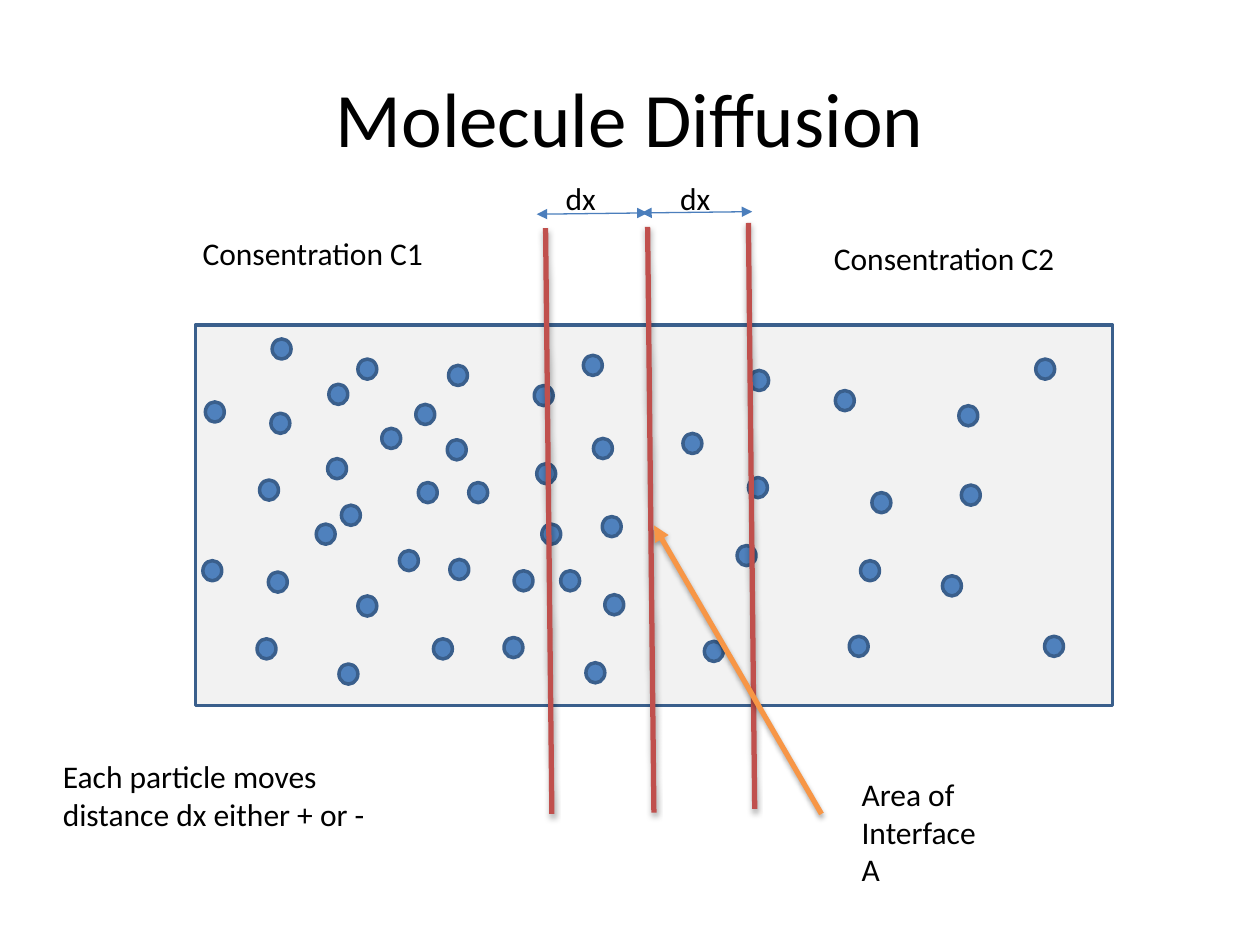
"""Build the Molecule Diffusion slide on a grid of 100 columns by 75 rows."""
from lxml.etree import SubElement
from pptx import Presentation
from pptx.dml.color import RGBColor
from pptx.enum.shapes import MSO_CONNECTOR as Connector, MSO_SHAPE as Shape
from pptx.enum.text import MSO_ANCHOR as Anchor, PP_ALIGN as Align
from pptx.oxml.ns import qn
from pptx.util import Inches, Pt

color = RGBColor.from_string
presentation = Presentation()
presentation.slide_width, presentation.slide_height = Inches(10), Inches(7.5)
COLUMN = presentation.slide_width // 100
ROW = presentation.slide_height // 75
slide = presentation.slides.add_slide(presentation.slide_layouts[6])
shapes = slide.shapes


def add_label(left, top, width, height, lines, size=18, align=Align.LEFT, anchor=Anchor.TOP):
    """Add a wrapped text box with one paragraph per line."""
    box = shapes.add_textbox(int(left * COLUMN), int(top * ROW), int(width * COLUMN), int(height * ROW))
    frame = box.text_frame
    frame.word_wrap, frame.vertical_anchor = True, anchor
    for index, line in enumerate(lines):
        paragraph = frame.paragraphs[0] if index == 0 else frame.add_paragraph()
        paragraph.alignment = align
        run = paragraph.add_run()
        run.text = line
        run.font.size, run.font.name = Pt(size), "Calibri"
        run.font.color.rgb = color("000000")


def add_line(start, end, line_color, width, arrow_ends=(), shadow=True):
    """Add a straight line with optional arrowheads and a soft shadow."""
    line = shapes.add_connector(
        Connector.STRAIGHT, int(start[0] * COLUMN), int(start[1] * ROW), int(end[0] * COLUMN), int(end[1] * ROW))
    line.line.color.rgb, line.line.width = color(line_color), Pt(width)
    properties = line._element.spPr
    for arrow_end in arrow_ends:
        SubElement(properties.find(qn("a:ln")), qn(f"a:{arrow_end}"), type="triangle")
    effects = SubElement(properties, qn("a:effectLst"))
    if shadow:
        outer = SubElement(effects, qn("a:outerShdw"), blurRad="40000", dist="23000", dir="5400000", rotWithShape="0")
        black = SubElement(outer, qn("a:srgbClr"), val="000000")
        SubElement(black, qn("a:alpha"), val="35000")


add_label(5, 3, 90, 12.5, ["Molecule Diffusion"], 44, Align.CENTER, Anchor.MIDDLE)

chamber = shapes.add_shape(Shape.RECTANGLE, int(15.5 * COLUMN), int(25.8 * ROW), int(72.8 * COLUMN), int(30.2 * ROW))
chamber.fill.solid()
chamber.fill.fore_color.rgb = color("F2F2F2")
chamber.line.color.rgb, chamber.line.width = color("3A5F8C"), Pt(2)
chamber.shadow.inherit = False

add_line((51.4, 18), (51.9, 64.5), "C0504D", 3)

molecules = [
    (26.1, 30.5), (25.1, 41.6), (26, 36.4), (33, 32.1), (31.7, 43.7), (33.2, 38.3), (37.2, 38.3),
    (47.1, 34.8), (82.2, 28.5), (55.9, 50.9), (68.3, 44.5), (69.2, 39.1), (76.1, 32.2), (74.8, 45.7),
    (76.3, 38.5), (35.6, 29), (30.3, 34), (46.3, 28.2), (35.5, 34.9), (42.4, 30.6), (44.5, 45.3),
    (42.6, 36.8), (16.1, 44.5), (20.4, 50.7), (21.3, 45.4), (26.9, 52.7), (28.4, 47.3), (43, 41.6),
    (35.7, 44.4), (40, 50.6), (40.8, 45.3), (47.8, 41), (46.5, 52.6), (48, 47.2), (21.6, 26.9),
    (16.3, 31.9), (20.6, 38.1), (21.5, 32.8), (28.4, 28.5), (27.1, 40.1), (59.5, 29.4), (54.2, 34.4),
    (58.5, 43.3), (59.4, 37.9), (66.3, 31), (67.4, 50.5), (82.9, 50.5), (34.4, 50.7),
]
for left, top in molecules:
    molecule = shapes.add_shape(Shape.OVAL, int(left * COLUMN), int(top * ROW), int(1.5 * COLUMN), int(1.6 * ROW))
    molecule.fill.solid()
    molecule.fill.fore_color.rgb = color("4F81BD")
    molecule.line.color.rgb, molecule.line.width = color("3A5F8C"), Pt(2)
    molecule.shadow.inherit = False

for left, top in [(59.4, 17.7), (43.3, 18.1)]:
    add_line((left, top), (left + 0.5, top + 46.5), "C0504D", 3)

add_label(15.1, 18.1, 24.4, 4, ["Consentration C1"])
add_label(65.2, 18.5, 24.4, 4, ["Consentration C2"])

for left, top in [(42.6, 17), (50.9, 16.9)]:
    add_line((left, top), (left + 8.8, top - 0.1), "4B7EBC", 0.75, ("headEnd", "tailEnd"), shadow=False)
for left in (43.9, 53):
    add_label(left, 13.7, 6.4, 4, ["dx"])

add_label(67.4, 61, 18, 10.1, ["Area of Interface", "A"])
add_line((65.2, 64.6), (51.9, 41.7), "F79646", 3, ("tailEnd",))
add_label(4, 59.6, 27, 7.1, ["Each particle moves distance dx either + or -"])

presentation.save("out.pptx")
